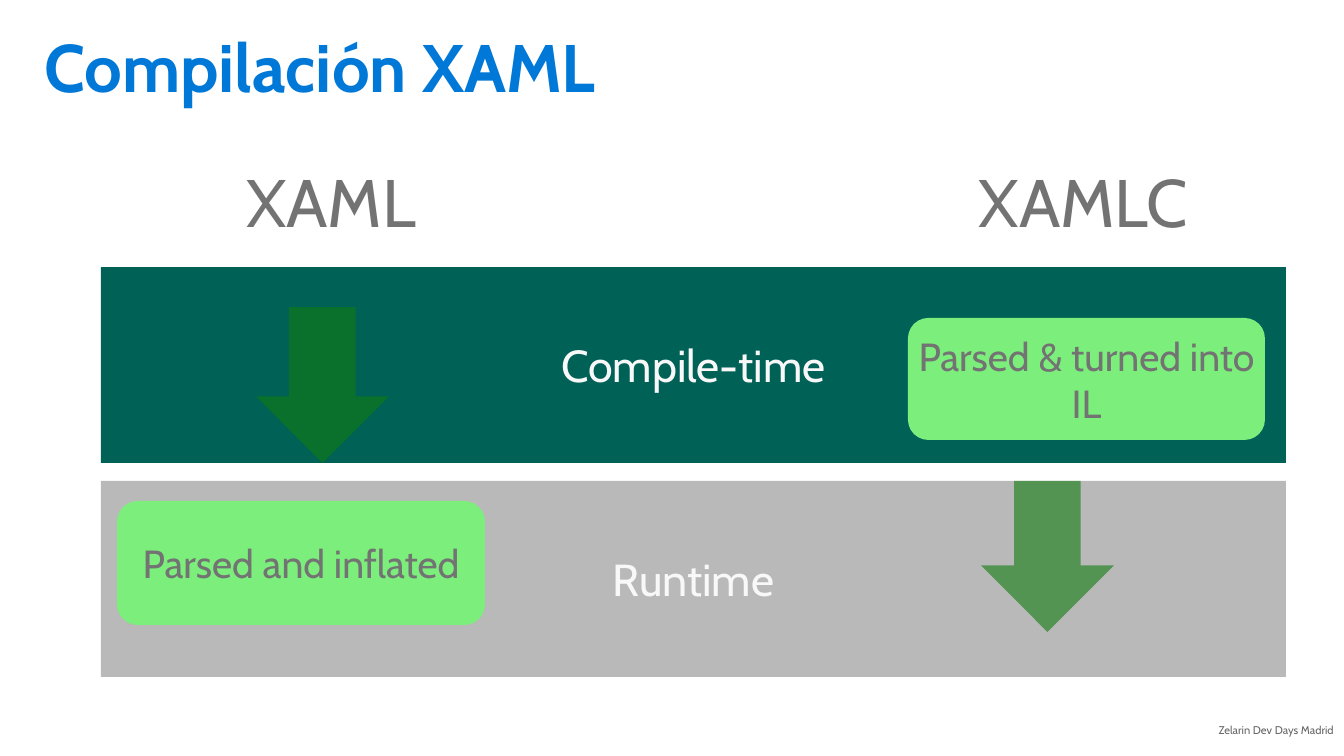
from dataclasses import dataclass

from lxml import etree
from pptx import Presentation
from pptx.dml.color import RGBColor
from pptx.enum.shapes import MSO_SHAPE
from pptx.enum.text import MSO_ANCHOR, PP_ALIGN
from pptx.oxml.ns import qn
from pptx.util import Pt

EMU_PER_PX = 914400 / 100.8
FONT = "Cabin"
COLOURS = {
    "title": "0078D7",
    "gray_text": "737373",
    "footer": "666666",
    "white_text": "F8F8F8",
    "compile": "006256",
    "runtime": "B9B9B9",
    "step": "7CEE7C",
    "arrow": "107C10",
}
ARROW_OPACITY = 60
BAND_LEFT, BAND_WIDTH, BAND_HEIGHT = 101, 1185, 196
COMPILE_TOP, RUNTIME_TOP = 267, 481
HEADING_TOP, HEADING_HEIGHT = 149, 203
ARROW_WIDTH = 133


@dataclass(frozen=True)
class Area:
    left: int
    top: int
    width: int
    height: int

    def emu(self) -> list[int]:
        return [px(n) for n in (self.left, self.top, self.width, self.height)]


@dataclass(frozen=True)
class Label:
    text: str
    area: Area
    size: int
    colour: str
    align: PP_ALIGN
    margins: tuple[int, int] = (10, 5)
    line_spacing: float = 1.0
    bold: bool = False


@dataclass(frozen=True)
class Block:
    text: str
    area: Area
    preset: MSO_SHAPE
    fill: str
    size: int
    colour: str


def px(length: int) -> int:
    return round(length * EMU_PER_PX)


def rgb(name: str) -> RGBColor:
    return RGBColor.from_string(COLOURS[name])


def set_all(target, values: dict) -> None:
    for name, value in values.items():
        setattr(target, name, value)


def write(box, text: str, size: int, colour: str, align: PP_ALIGN,
          margins: tuple[int, int], anchor: MSO_ANCHOR,
          line_spacing: float = 1.0, bold: bool = False) -> None:
    """Fill the text frame of a box with one formatted paragraph."""
    frame = box.text_frame
    side, end = (px(margin) for margin in margins)
    set_all(frame, {
        "word_wrap": True, "vertical_anchor": anchor,
        "margin_left": side, "margin_right": side,
        "margin_top": end, "margin_bottom": end,
    })
    para = frame.paragraphs[0]
    set_all(para, {"alignment": align, "line_spacing": line_spacing})
    span = para.add_run()
    span.text = text
    set_all(span.font, {"name": FONT, "size": Pt(size), "bold": bold})
    span.font.color.rgb = rgb(colour)


def add_label(page, label: Label) -> None:
    box = page.shapes.add_textbox(*label.area.emu())
    write(box, label.text, label.size, label.colour, label.align, label.margins,
          MSO_ANCHOR.TOP, label.line_spacing, label.bold)


def add_filled(page, preset: MSO_SHAPE, area: Area, fill: str):
    shape = page.shapes.add_shape(preset, *area.emu())
    shape.shadow.inherit = False
    shape.fill.solid()
    shape.fill.fore_color.rgb = rgb(fill)
    shape.line.fill.background()
    return shape


def add_block(page, block: Block) -> None:
    shape = add_filled(page, block.preset, block.area, block.fill)
    write(shape, block.text, block.size, block.colour, PP_ALIGN.CENTER,
          (0, 10), MSO_ANCHOR.MIDDLE)


def add_arrow(page, area: Area) -> None:
    arrow = add_filled(page, MSO_SHAPE.DOWN_ARROW, area, "arrow")
    colour = arrow.fill._xPr.find(qn("a:solidFill"))[0]
    etree.SubElement(colour, qn("a:alpha"), val=str(ARROW_OPACITY * 1000))


def band(text: str, top: int, fill: str) -> Block:
    area = Area(BAND_LEFT, top, BAND_WIDTH, BAND_HEIGHT)
    return Block(text, area, MSO_SHAPE.RECTANGLE, fill, 32, "white_text")


def step(text: str, area: Area) -> Block:
    return Block(text, area, MSO_SHAPE.ROUNDED_RECTANGLE, "step", 28, "gray_text")


def heading(text: str, left: int, width: int) -> Label:
    area = Area(left, HEADING_TOP, width, HEADING_HEIGHT)
    return Label(text, area, 48, "gray_text", PP_ALIGN.CENTER, (31, 20), 0.9)


LABELS = [
    Label("Zelarin Dev Days Madrid", Area(1161, 718, 183, 33), 8, "footer",
          PP_ALIGN.RIGHT),
    Label("Compilación XAML", Area(29, 22, 1284, 108), 48, "title",
          PP_ALIGN.LEFT, (15, 12), 0.9, True),
    heading("XAML", 198, 266),
    heading("XAMLC", 924, 319),
]
BLOCKS = [
    band("Runtime", RUNTIME_TOP, "runtime"),
    band("Compile-time", COMPILE_TOP, "compile"),
    step("Parsed and inflated", Area(117, 501, 368, 124)),
    step("Parsed & turned into IL", Area(908, 318, 357, 122)),
]
ARROWS = [
    Area(981, RUNTIME_TOP, ARROW_WIDTH, 151),
    Area(256, 307, ARROW_WIDTH, 156),
]


def main() -> None:
    deck = Presentation()
    set_all(deck, {"slide_width": px(1344), "slide_height": px(756)})
    page = deck.slides.add_slide(deck.slide_layouts[6])
    for label in LABELS:
        add_label(page, label)
    for block in BLOCKS:
        add_block(page, block)
    for area in ARROWS:
        add_arrow(page, area)
    deck.save("out.pptx")


if __name__ == "__main__":
    main()
